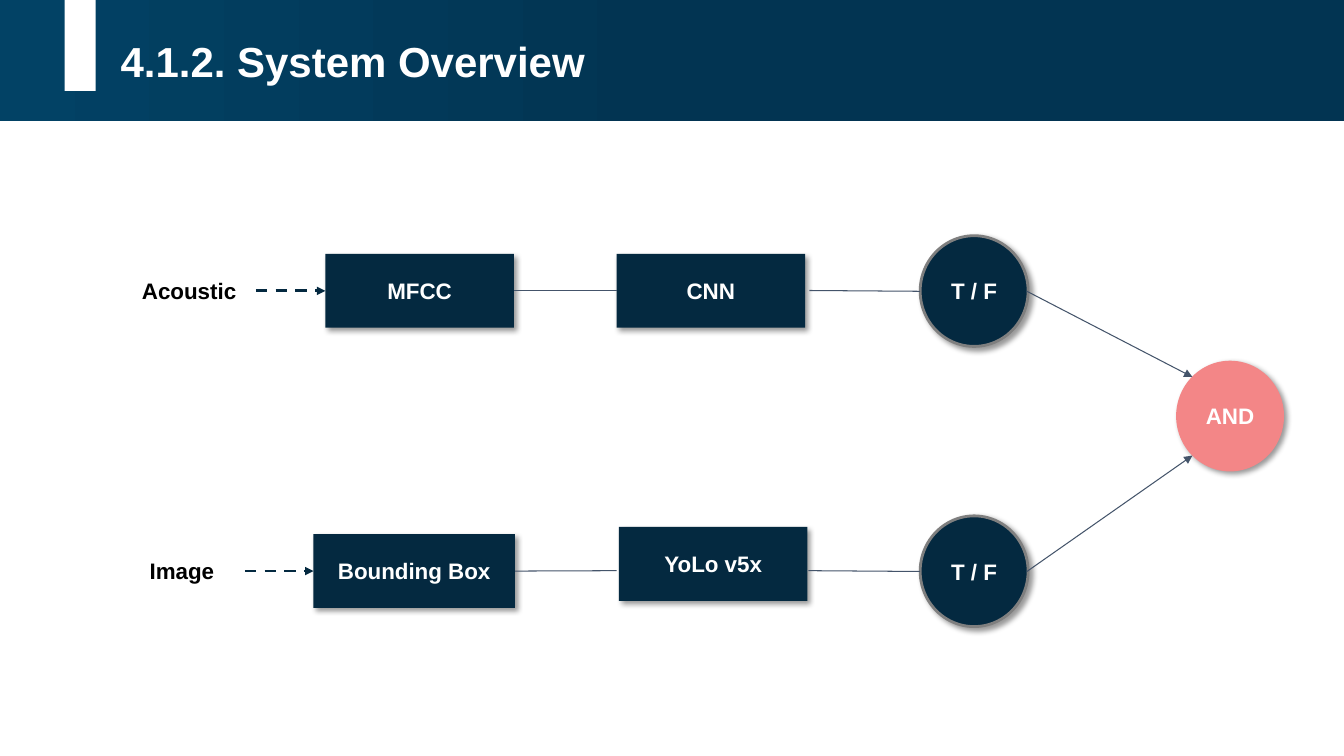
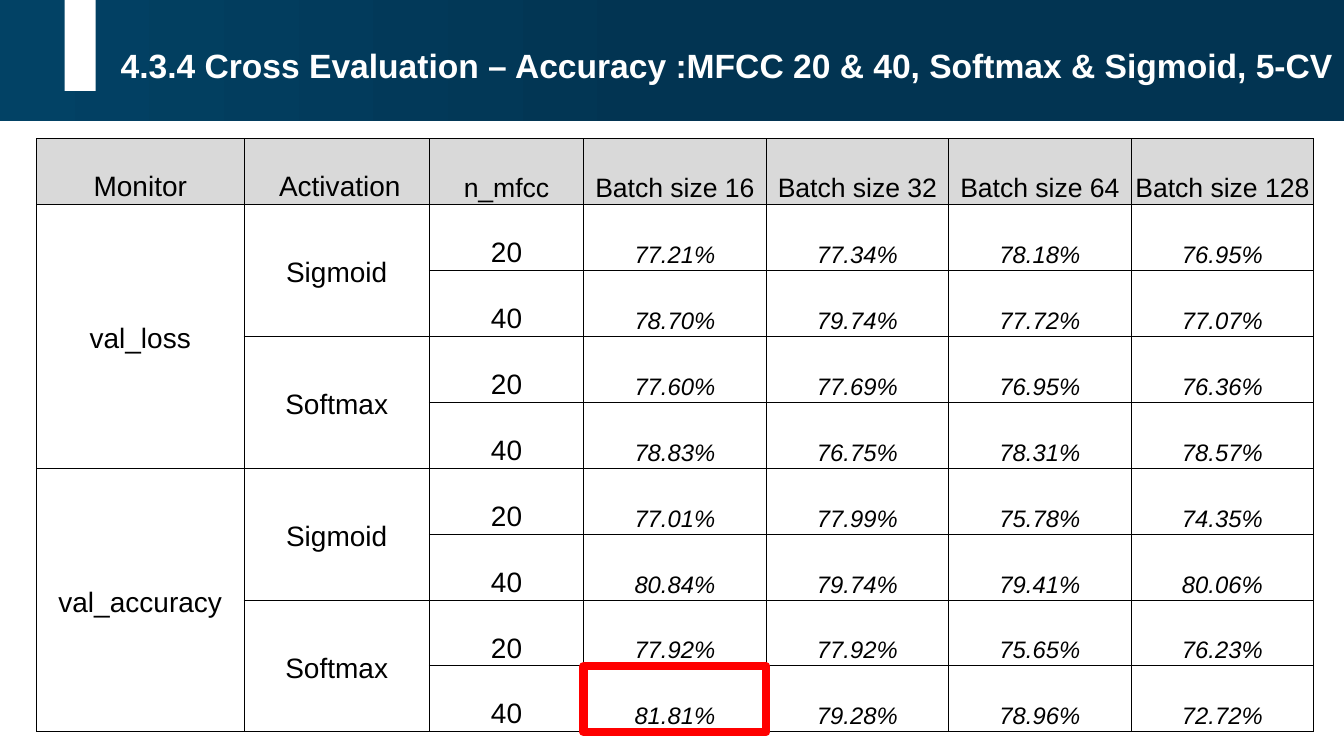
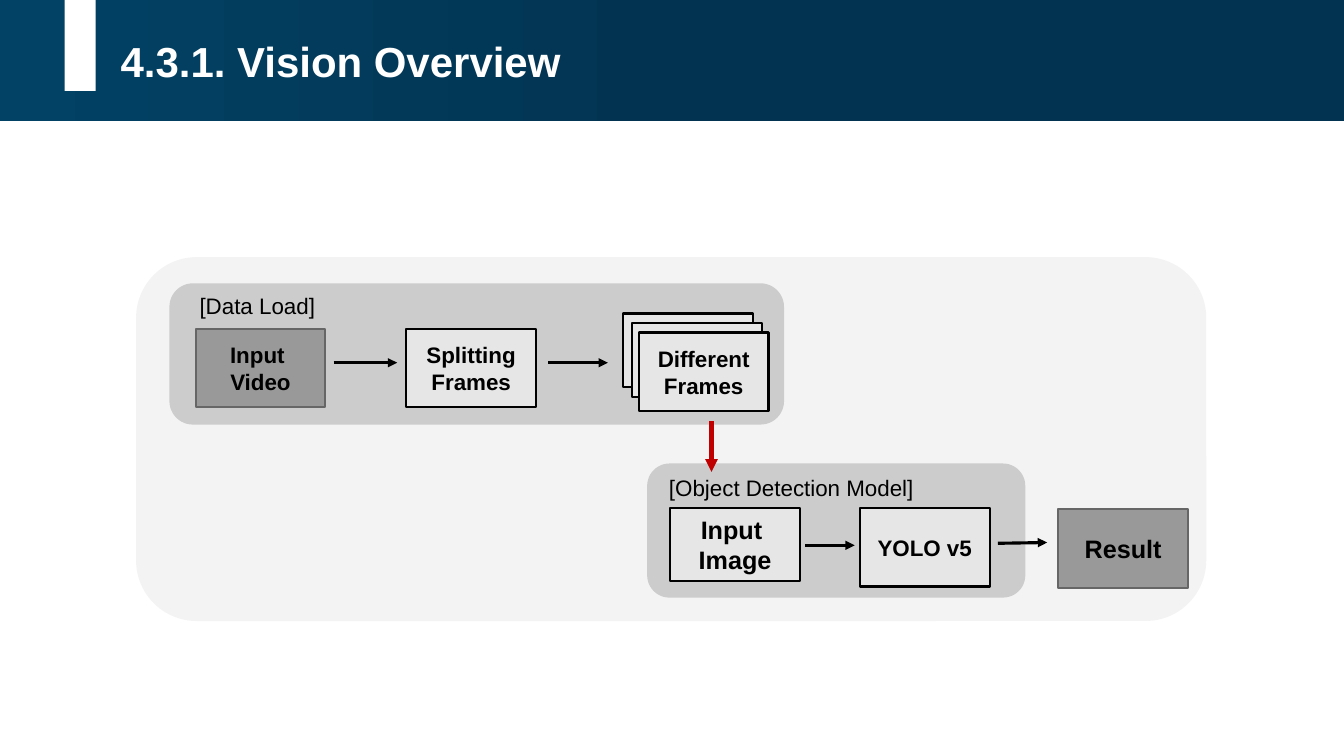
from copy import deepcopy
from lxml.etree import SubElement
from pptx import Presentation
from pptx.dml.color import RGBColor
from pptx.enum.dml import MSO_LINE
from pptx.enum.shapes import MSO_CONNECTOR, MSO_SHAPE
from pptx.enum.text import MSO_ANCHOR, MSO_AUTO_SIZE, PP_ALIGN
from pptx.oxml.ns import qn
from pptx.util import Cm, Pt

BLACK = RGBColor(0x00, 0x00, 0x00)
WHITE = RGBColor(0xFF, 0xFF, 0xFF)
DEEP = RGBColor(0x02, 0x34, 0x52)
TEAL = RGBColor(0x02, 0x42, 0x65)
NAVY = RGBColor(0x04, 0x29, 0x40)
SLATE = RGBColor(0x44, 0x54, 0x6A)
PINK = RGBColor(0xF3, 0x86, 0x87)
RIM = RGBColor(0x7F, 0x7F, 0x7F)
HEAD = RGBColor(0xD9, 0xD9, 0xD9)
PALE = RGBColor(0xF3, 0xF3, 0xF3)
SILVER = RGBColor(0xCC, 0xCC, 0xCC)
LIGHT = RGBColor(0xE7, 0xE6, 0xE6)
GREY = RGBColor(0x99, 0x99, 0x99)
DARK = RGBColor(0x66, 0x66, 0x66)
RED = RGBColor(0xFF, 0x00, 0x00)
CRIMSON = RGBColor(0xC0, 0x00, 0x00)

RECT, ROUND, OVAL = MSO_SHAPE.RECTANGLE, MSO_SHAPE.ROUNDED_RECTANGLE, MSO_SHAPE.OVAL


def write(frame, text, size=16, bold=True, italic=False, color=BLACK,
          align=PP_ALIGN.CENTER, gap=None):
    """Fill a text frame, one paragraph for each line of text."""
    frame.text = text
    for par in frame.paragraphs:
        par.alignment = align
        par.line_spacing = gap
        for run in par.runs:
            font = run.font
            font.name, font.size = "Arial", Pt(size)
            font.bold, font.italic = bold, italic
            font.color.rgb = color


def put(slide, text, at, kind=None, fill=None, line=None, width=1.5, shade=False, **style):
    """Add a shape, or a text box when no kind is given."""
    at = [Cm(n) for n in at]
    if kind is None:
        shape = slide.shapes.add_textbox(*at)
    else:
        shape = slide.shapes.add_shape(kind, *at)
        shape.shadow.inherit = False
        if fill is None:
            shape.fill.background()
        else:
            shape.fill.solid()
            shape.fill.fore_color.rgb = fill
        if line is None:
            shape.line.fill.background()
        else:
            shape.line.color.rgb = line
            shape.line.width = Pt(width)
    if shade:
        effects = shape.element.spPr.find(qn("a:effectLst"))
        outer = SubElement(effects, qn("a:outerShdw"), blurRad=str(Pt(4)), dist=str(Pt(3)),
                           dir="2700000", algn="tl", rotWithShape="0")
        tint = SubElement(outer, qn("a:srgbClr"), val="000000")
        SubElement(tint, qn("a:alpha"), val="40000")
    if text:
        frame = shape.text_frame
        frame.word_wrap = True
        frame.vertical_anchor = MSO_ANCHOR.MIDDLE
        frame.margin_left = frame.margin_right = Cm(0.25)
        frame.margin_top = frame.margin_bottom = Cm(0.25)
        write(frame, text, **style)
    return shape


deck = Presentation()
deck.slide_width, deck.slide_height = Cm(33.87), Cm(19.05)
layout = deck.slide_layouts[5]
for holder in list(layout.placeholders):
    if holder.placeholder_format.idx:
        holder.element.getparent().remove(holder.element)

# Titles
titles = [
    ("4.1.2. System Overview", 30, 0.77),
    ("4.3.4 Cross Evaluation – Accuracy :MFCC 20 & 40, Softmax & Sigmoid, 5-CV", 24, 0.88),
    ("4.3.1. Vision Overview", 30, 0.77),
]
slides = []
for text, size, top in titles:
    slide = deck.slides.add_slide(layout)
    title = slide.shapes.title
    title.left, title.top, title.width, title.height = Cm(2.79), Cm(top), Cm(31.08), Cm(1.54)
    frame = title.text_frame
    frame.auto_size = MSO_AUTO_SIZE.NONE
    frame.vertical_anchor = MSO_ANCHOR.MIDDLE
    frame.margin_left, frame.margin_right = Cm(0.25), 0
    write(frame, text, size=size, color=WHITE, align=PP_ALIGN.LEFT)
    slides.append(slide)
system, scores, vision = slides

# Header band, moved to the layout that all slides share
band = put(system, "", (0, 0, 33.87, 3.05), RECT)
band.fill.gradient()
band.fill.gradient_angle = 180
first = band.element.find(".//" + qn("a:gs"))
first.addnext(deepcopy(first))
for stop, place, color in zip(band.fill.gradient_stops, (0, 0.5, 1), (DEEP, DEEP, TEAL)):
    stop.position = place
    stop.color.rgb = color
bar = put(system, "", (1.63, 0, 0.78, 2.29), RECT, WHITE)
for spot, shape in enumerate((band, bar), 2):
    layout.shapes.element.insert(spot, shape.element)

# System overview
put(system, "Acoustic ", (3.23, 6.73, 3.23, 1.19))
put(system, "Image", (2.97, 13.79, 3.23, 1.19))
node = dict(shade=True, color=WHITE)
blocks = {}
for text, left, top, width in [("MFCC", 8.2, 6.4, 4.75), ("CNN", 15.54, 6.4, 4.75),
                               ("Bounding Box", 7.9, 13.46, 5.08),
                               ("YoLo v5x", 15.6, 13.28, 4.75)]:
    blocks[text] = put(system, text, (left, top, width, 1.86), RECT, NAVY, **node)
for text, left, top, fill, rim in [("T / F", 23.19, 5.94, NAVY, RIM),
                                   ("T / F", 23.19, 13, NAVY, RIM),
                                   ("AND", 29.64, 9.09, PINK, None)]:
    put(system, text, (left, top, 2.72, 2.79), OVAL, fill, rim, 2, **node)

# Cross evaluation table
names = ["Monitor", " Activation", "n_mfcc"] + [f"Batch size {n}" for n in (16, 32, 64, 128)]
values = [
    ("77.21%", "77.34%", "78.18%", "76.95%"),
    ("78.70%", "79.74%", "77.72%", "77.07%"),
    ("77.60%", "77.69%", "76.95%", "76.36%"),
    ("78.83%", "76.75%", "78.31%", "78.57%"),
    ("77.01%", "77.99%", "75.78%", "74.35%"),
    ("80.84%", "79.74%", "79.41%", "80.06%"),
    ("77.92%", "77.92%", "75.65%", "76.23%"),
    ("81.81%", "79.28%", "78.96%", "72.72%"),
]
rows = [names]
for i, row in enumerate(values):
    monitor = ("val_loss", "val_accuracy")[i // 4] if i % 4 == 0 else ""
    active = ("Sigmoid", "Softmax")[i // 2 % 2] if i % 2 == 0 else ""
    rows.append([monitor, active, ("20", "40")[i % 2], *row])

widths = [5.23, 4.67, 3.89] + [4.6] * 4
high = 1.66
table = scores.shapes.add_table(9, 7, Cm(0.92), Cm(3.5), Cm(sum(widths)), Cm(9 * high)).table
table.first_row = table.horz_banding = False
for col, width in zip(table.columns, widths):
    col.width = Cm(width)
for r, row in enumerate(rows):
    table.rows[r].height = Cm(high)
    for c, text in enumerate(row):
        cell = table.cell(r, c)
        cell.margin_left = cell.margin_right = Cm(0.08)
        cell.margin_top = cell.margin_bottom = Cm(0.05)
        cell.vertical_anchor = MSO_ANCHOR.MIDDLE if r and c < 2 else MSO_ANCHOR.BOTTOM
        if r == 0:
            size = 20 if c < 2 else 19
            cell.fill.solid()
            cell.fill.fore_color.rgb = HEAD
        else:
            size = 20 if c < 3 else 17
            cell.fill.background()
        write(cell.text_frame, text, size=size, bold=False, italic=r > 0 and c > 2, gap=1.15)
        props = cell._tc.get_or_add_tcPr()
        for spot, side in enumerate(("a:lnL", "a:lnR", "a:lnT", "a:lnB")):
            edge = SubElement(props, qn(side), w=str(Pt(0.75)))
            SubElement(SubElement(edge, qn("a:solidFill")), qn("a:srgbClr"), val=str(BLACK))
            props.insert(spot, edge)
for c, span in ((0, 4), (1, 2)):
    for r in range(1, 9, span):
        table.cell(r, c).merge(table.cell(r + span - 1, c))
put(scores, "", (14.71, 16.79, 4.6, 1.66), RECT, line=RED, width=6)

# Vision overview
for at, fill in [((3.43, 6.48, 26.97, 9.17), PALE), ((4.27, 7.14, 15.49, 3.56), SILVER),
                 ((16.31, 11.68, 9.53, 3.38), SILVER)]:
    put(vision, "", at, ROUND, fill)
for text, left, top, width in [("[Data Load]", 4.78, 7.11, 4.62),
                               ("[Object Detection Model]", 16.61, 11.68, 6.81)]:
    put(vision, text, (left, top, width, 1.19), bold=False, align=PP_ALIGN.LEFT)
steps = [
    ("Input \nVideo", 4.93, 8.28, 1.98, GREY, DARK, 16),
    ("Splitting\nFrames", 10.24, 8.28, 1.98, LIGHT, BLACK, 16),
    ("", 15.7, 7.9, 1.85, LIGHT, BLACK, 16),
    ("", 15.93, 8.15, 1.85, LIGHT, BLACK, 16),
    ("Different\nFrames", 16.1, 8.38, 1.98, LIGHT, BLACK, 16),
    ("Input \nImage", 16.89, 12.8, 1.85, LIGHT, BLACK, 18),
    ("YOLO v5", 21.67, 12.8, 1.98, LIGHT, BLACK, 16),
    ("Result", 26.67, 12.83, 1.98, GREY, DARK, 18),
]
for text, left, top, height, fill, line, size in steps:
    put(vision, text, (left, top, 3.27, height), RECT, fill, line, size=size)

# Connectors: an end is a point, or a block and the side to join
mfcc, cnn, bound = blocks["MFCC"], blocks["CNN"], blocks["Bounding Box"]
thin = (system, SLATE, 0.75, False, False)
point = (system, SLATE, 0.75, False, True)
feed = (system, NAVY, 2, True, True)
flow = (vision, BLACK, 2.25, False, True)
drop = (vision, CRIMSON, 3, False, True)
links = [
    (feed, (6.45, 7.33), (mfcc, 1)),
    (thin, (mfcc, 3), (cnn, 1)),
    (thin, (20.4, 7.32), (23.19, 7.34)),
    (feed, (6.17, 14.39), (bound, 1)),
    (thin, (bound, 3), (15.54, 14.38)),
    (thin, (20.37, 14.38), (23.19, 14.4)),
    (point, (25.88, 7.34), (30.05, 9.5)),
    (point, (25.88, 14.4), (30.05, 11.48)),
    (flow, (8.41, 9.14), (10.01, 9.14)),
    (flow, (13.82, 9.14), (15.32, 9.14)),
    (flow, (20.29, 13.74), (21.54, 13.74)),
    (flow, (25.15, 13.69), (26.39, 13.67)),
    (drop, (17.93, 10.62), (17.93, 11.89)),
]
for (slide, color, width, dash, arrow), start, end in links:
    joins = [spot[0] in (mfcc, cnn, bound) for spot in (start, end)]
    ends = [(0, 0) if join else spot for join, spot in zip(joins, (start, end))]
    link = slide.shapes.add_connector(MSO_CONNECTOR.STRAIGHT, *[Cm(n) for xy in ends for n in xy])
    if joins[0]:
        link.begin_connect(*start)
    if joins[1]:
        link.end_connect(*end)
    link.line.color.rgb = color
    link.line.width = Pt(width)
    if dash:
        link.line.dash_style = MSO_LINE.DASH
    props = link.element.spPr
    if arrow:
        SubElement(props.find(qn("a:ln")), qn("a:tailEnd"), type="triangle")
    SubElement(props, qn("a:effectLst"))

deck.save("out.pptx")
